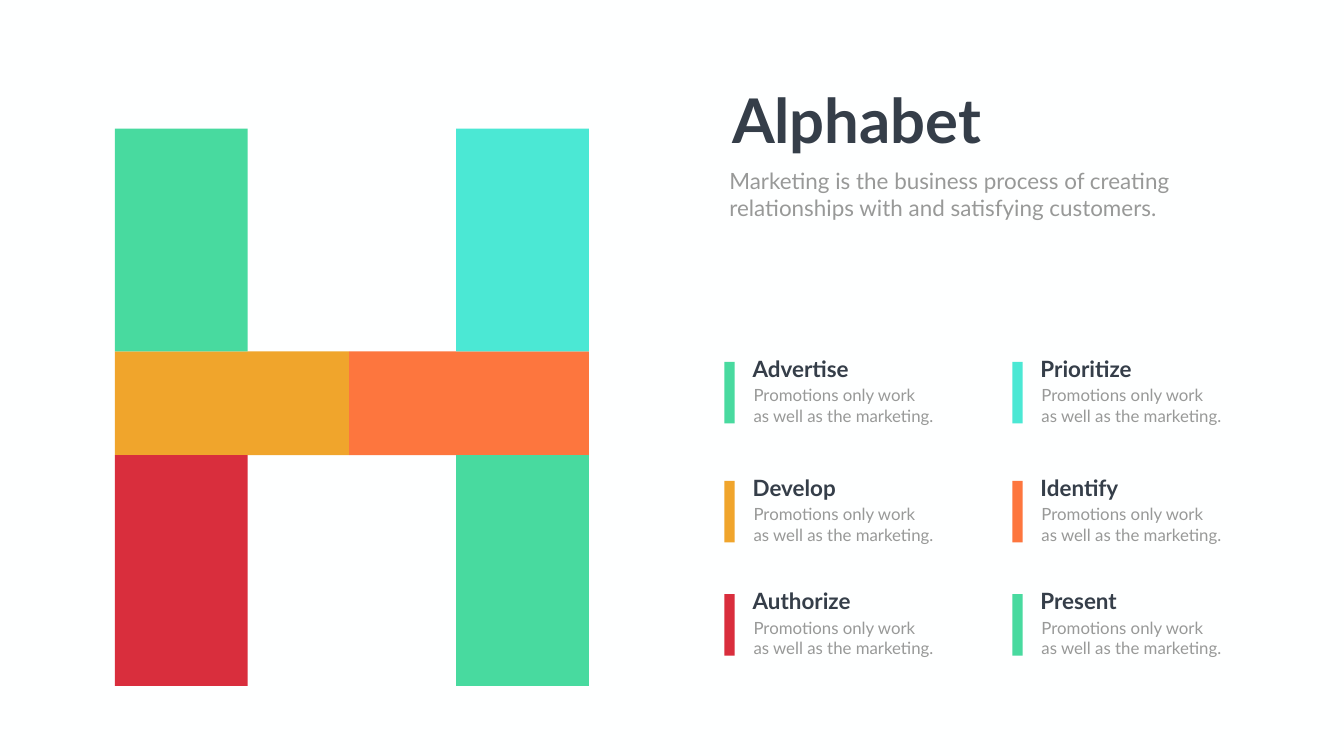
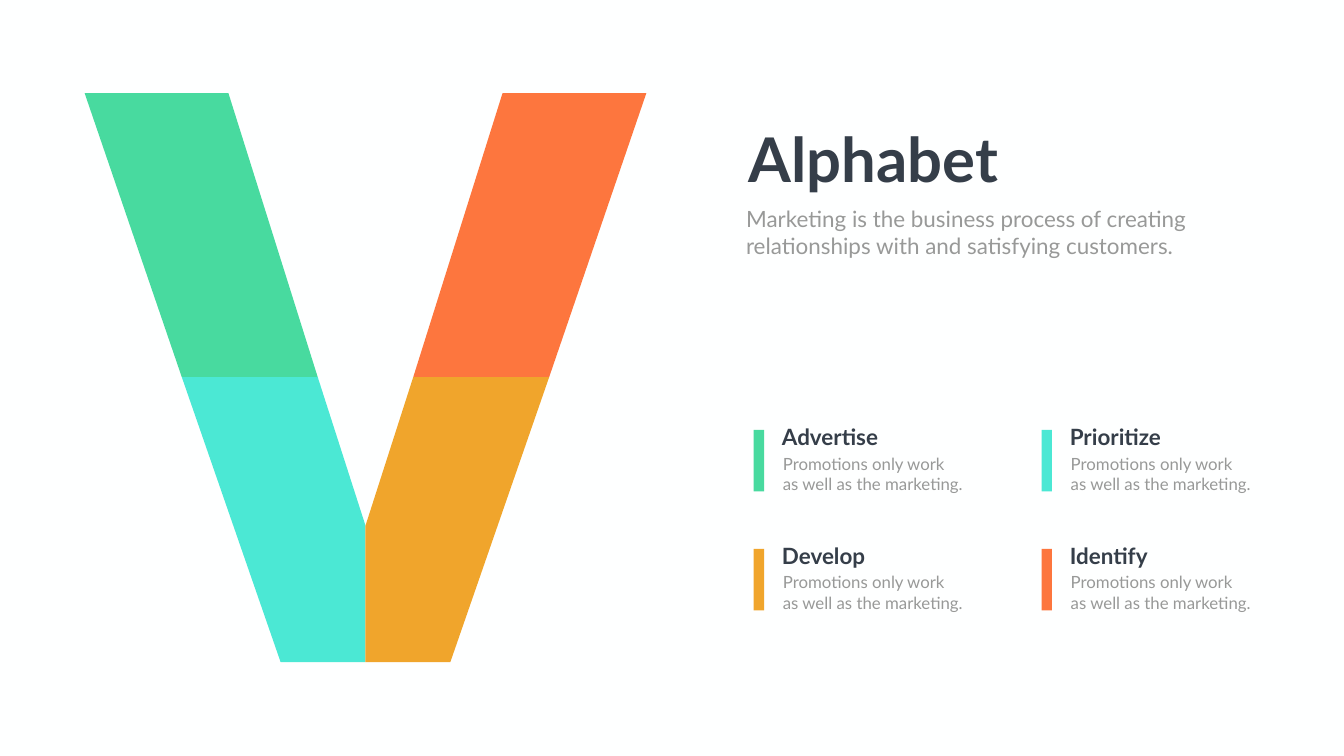
from typing import NamedTuple

from pptx import Presentation
from pptx.dml.color import RGBColor
from pptx.enum.shapes import MSO_SHAPE
from pptx.enum.text import MSO_ANCHOR, MSO_AUTO_SIZE, PP_ALIGN
from pptx.util import Inches, Pt

RECT = MSO_SHAPE.RECTANGLE
TOP = MSO_ANCHOR.TOP
GROW = MSO_AUTO_SIZE.SHAPE_TO_FIT_TEXT
LEFT, CENTER = PP_ALIGN.LEFT, PP_ALIGN.CENTER

WIDE, HIGH = Inches(26.66), Inches(15)
COL, ROW = WIDE / 100, HIGH / 100

FONT = "Lato"
PAPER, INK, GRAY = "FEFFFF", "353E49", "989998"
GREEN, AQUA, GOLD = "48DA9F", "4BE8D4", "F0A52C"
CORAL, RED = "FD763E", "D92E3D"

TITLE = "Alphabet"
INTRO = ("Marketing is the business process of creating\n"
         "relationships with and satisfying customers.")
NOTE = "Promotions only work\nas well as the marketing."
STEPS = [
    ("Advertise", GREEN), ("Prioritize", AQUA),
    ("Develop", GOLD), ("Identify", CORAL),
    ("Authorize", RED), ("Present", GREEN),
]
STEP_COL = 21.42
STEP_ROWS = [0, 15.73, 30.73]


class Box(NamedTuple):
    x: float
    y: float
    w: float
    h: float

    def inner(self, x, y, w, h):
        return Box(self.x + x, self.y + y, w, h)

    def share(self, x, y):
        return self.x + self.w * x / 100, self.y + self.h * y / 100

    def emu(self):
        return (round(self.x * COL), round(self.y * ROW),
                round(self.w * COL), round(self.h * ROW))


def color(code):
    return RGBColor.from_string(code)


def paint(shape, code):
    shape.shadow.inherit = False
    shape.fill.solid()
    shape.fill.fore_color.rgb = color(code)
    shape.line.fill.background()


def block(slide, box, code):
    paint(slide.shapes.add_shape(RECT, *box.emu()), code)


def shard(slide, box, points, code):
    spots = []
    for point in points:
        x, y = box.share(*point)
        spots.append((round(x * COL), round(y * ROW)))
    pen = slide.shapes.build_freeform(*spots[0], scale=1.0)
    pen.add_line_segments(spots[1:], close=True)
    paint(pen.convert_to_shape(), code)


def write(shape, text, size, code, bold=False, align=LEFT, wrap=True):
    frame = shape.text_frame
    frame.text = text
    frame.word_wrap = wrap
    frame.auto_size = GROW
    frame.vertical_anchor = TOP
    for para in frame.paragraphs:
        para.alignment = align
        for run in para.runs:
            run.font.name = FONT
            run.font.size = Pt(size)
            run.font.bold = bold
            run.font.color.rgb = color(code)


def label(slide, box, text, size, code, bold=False):
    write(slide.shapes.add_textbox(*box.emu()), text, size, code, bold)


def header(slide, box):
    title = slide.shapes.title
    spot = box.inner(0, 0, 19.69, 10.53)
    title.left, title.top, title.width, title.height = spot.emu()
    write(title, TITLE, 88, INK, True, CENTER, False)
    label(slide, box.inner(0, 11.27, box.w, 7.87), INTRO, 32, GRAY)


def step(slide, box, name, code):
    block(slide, box.inner(0, 0, 0.77, box.h), code)
    label(slide, box.inner(1.73, -1.27, 8.29, 4.27), name, 32, INK, True)
    label(slide, box.inner(1.8, 2.75, 14.33, 6.07), NOTE, 24, GRAY)


def legend(slide, box, steps):
    for i, (name, code) in enumerate(steps):
        row, col = divmod(i, 2)
        spot = box.inner(col * STEP_COL, STEP_ROWS[row], STEP_COL, 8.13)
        step(slide, spot, name, code)


def draw_h(slide, box):
    stem, mid, top, low = 28, 49.4, 40, 58.6
    parts = [
        (0, top, mid, low, GOLD), (mid, top, 100, low, CORAL),
        (0, 0, stem, top, GREEN), (100 - stem, 0, 100, top, AQUA),
        (100 - stem, low, 100, 100, GREEN), (0, low, stem, 100, RED),
    ]
    for left, head, right, foot, code in parts:
        x, y = box.share(left, head)
        end, base = box.share(right, foot)
        block(slide, Box(x, y, end - x, base - y), code)


def draw_v(slide, box):
    cut = 49.9
    upper = [(0, 0), (25.6, 0), (41.5, cut), (17.3, cut)]
    lower = [(17.3, cut), (41.5, cut), (50, 76), (50, 100), (34.9, 100)]
    for points, left, right in [(upper, GREEN, CORAL), (lower, AQUA, GOLD)]:
        shard(slide, box, points, left)
        shard(slide, box, [(100 - x, y) for x, y in points], right)


def page(deck, draw, glyph, head, key, steps):
    slide = deck.slides.add_slide(deck.slide_layouts[5])
    draw(slide, glyph)
    header(slide, head)
    legend(slide, key, steps)


def main():
    deck = Presentation()
    deck.slide_width, deck.slide_height = WIDE, HIGH
    back = deck.slide_master.background.fill
    back.solid()
    back.fore_color.rgb = color(PAPER)
    page(deck, draw_h, Box(8.55, 17, 35.26, 73.73),
         Box(53.9, 10.47, 34.06, 19.13), Box(53.9, 47.87, 38, 39), STEPS)
    page(deck, draw_v, Box(6.3, 12.33, 41.79, 75.27),
         Box(55.14, 15.6, 34.06, 19.13), Box(56.08, 56.87, 38, 24), STEPS[:4])
    deck.save("out.pptx")


if __name__ == "__main__":
    main()
